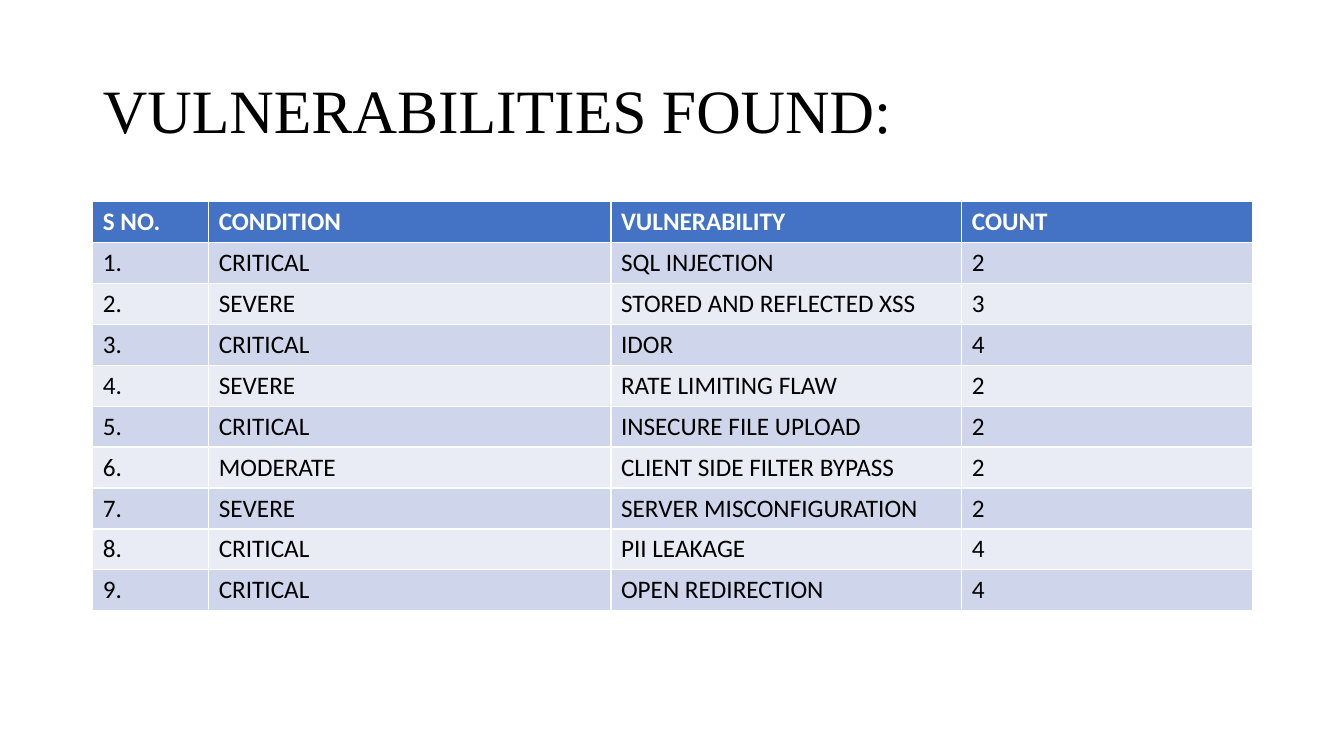
from pptx import Presentation
from pptx.dml.color import RGBColor
from pptx.enum.text import MSO_ANCHOR as Anchor, MSO_AUTO_SIZE as AutoSize, PP_ALIGN as Align
from pptx.util import Inches, Pt

BLACK = RGBColor(0x00, 0x00, 0x00)
WHITE = RGBColor(0xFF, 0xFF, 0xFF)
HEADER_BLUE = RGBColor(0x44, 0x72, 0xC4)
BANDS = [RGBColor(0xE9, 0xEB, 0xF5), RGBColor(0xCF, 0xD5, 0xEA)]

HEADINGS = ["S NO.", "CONDITION", "VULNERABILITY", "COUNT"]
FINDINGS = [
    ("CRITICAL", "SQL INJECTION", 2),
    ("SEVERE", "STORED AND REFLECTED XSS", 3),
    ("CRITICAL", "IDOR", 4),
    ("SEVERE", "RATE LIMITING FLAW", 2),
    ("CRITICAL", "INSECURE FILE UPLOAD", 2),
    ("MODERATE", "CLIENT SIDE FILTER BYPASS", 2),
    ("SEVERE", "SERVER MISCONFIGURATION", 2),
    ("CRITICAL", "PII LEAKAGE", 4),
    ("CRITICAL", "OPEN REDIRECTION", 4),
]
COLUMN_WIDTHS = [1.15, 3.99, 3.48, 2.88]

deck = Presentation()
deck.slide_width = Inches(13.33)
deck.slide_height = Inches(7.5)
page = deck.slides.add_slide(deck.slide_layouts[5])

left, width = Inches(0.92), Inches(sum(COLUMN_WIDTHS))

title = page.shapes.title
title.left, title.top = left, Inches(0.4)
title.width, title.height = width, Inches(1.45)
title.text = "VULNERABILITIES FOUND:"
title.text_frame.auto_size = AutoSize.NONE
title.text_frame.vertical_anchor = Anchor.MIDDLE
heading = title.text_frame.paragraphs[0]
heading.alignment = Align.LEFT
heading.line_spacing = 0.9
heading.font.name = "Times New Roman"
heading.font.size = Pt(44)
heading.font.color.rgb = BLACK

rows = [HEADINGS]
for number, (condition, vulnerability, count) in enumerate(FINDINGS, start=1):
    rows.append([f"{number}.", condition, vulnerability, str(count)])

table = page.shapes.add_table(
    len(rows), len(HEADINGS), left, Inches(2), width, Inches(4.06)).table
for column, column_width in zip(table.columns, COLUMN_WIDTHS):
    column.width = Inches(column_width)

for row_index, texts in enumerate(rows):
    is_header = row_index == 0
    for column_index, text in enumerate(texts):
        cell = table.cell(row_index, column_index)
        cell.text = text
        cell.fill.solid()
        cell.fill.fore_color.rgb = HEADER_BLUE if is_header else BANDS[row_index % 2]
        font = cell.text_frame.paragraphs[0].font
        font.name = "Calibri"
        font.size = Pt(18)
        font.bold = is_header
        font.color.rgb = WHITE if is_header else BLACK

deck.save("out.pptx")
